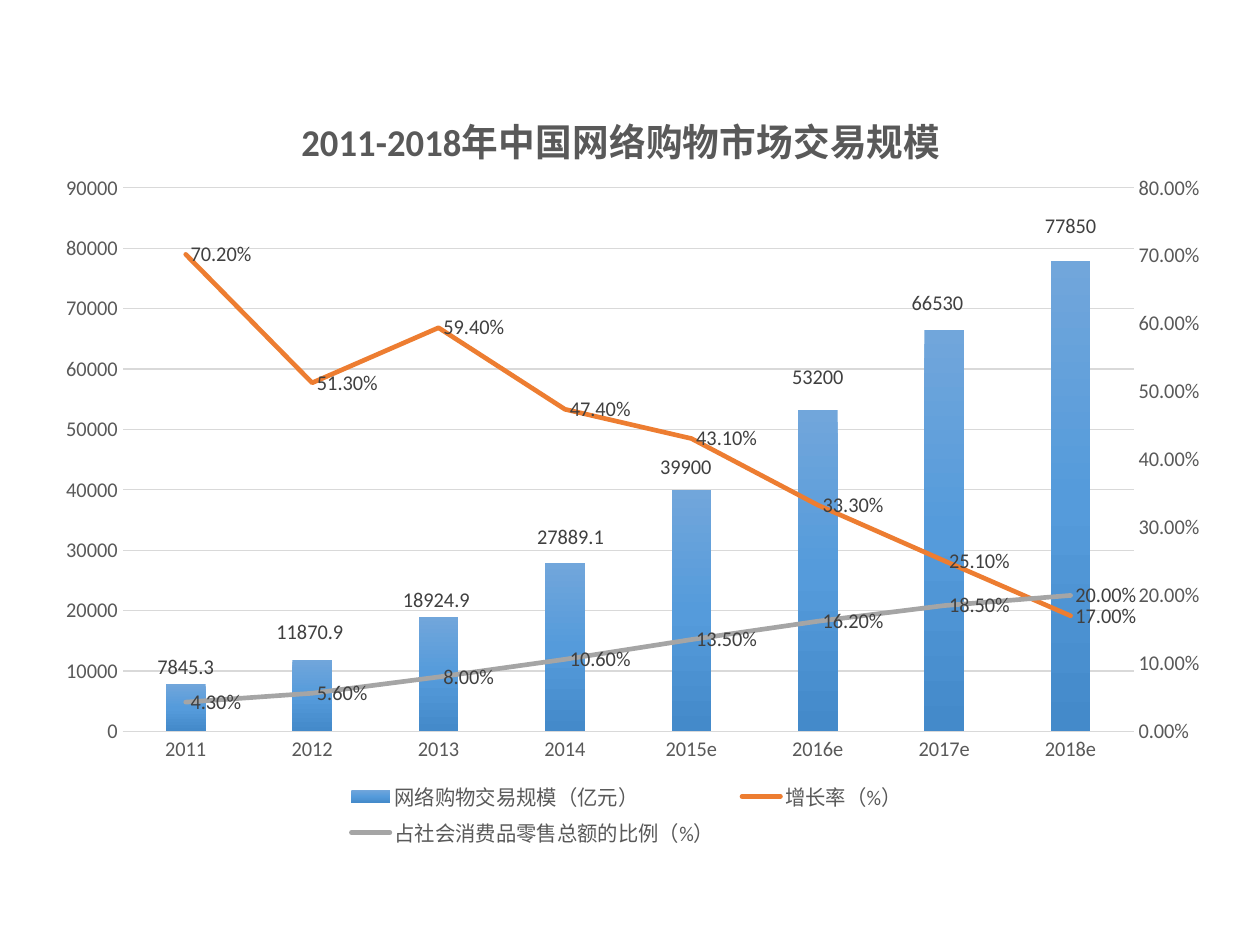
from copy import deepcopy
from dataclasses import dataclass

from pptx import Presentation
from pptx.chart.data import CategoryChartData
from pptx.dml.color import RGBColor
from pptx.enum.chart import XL_CHART_TYPE as ChartType
from pptx.enum.chart import XL_LABEL_POSITION as LabelPos
from pptx.enum.chart import XL_LEGEND_POSITION as LegendPos
from pptx.enum.chart import XL_MARKER_STYLE as Marker
from pptx.enum.chart import XL_TICK_MARK as Tick
from pptx.oxml import parse_xml
from pptx.oxml.ns import nsdecls
from pptx.util import Pt

FONT = "Calibri"
COLORS = {
    "text": "595959", "label": "404040", "grid": "D9D9D9",
    "growth": "ED7D31", "share": "A5A5A5",
    "bar_top": "71A6DB", "bar_mid": "559BDB", "bar_bottom": "448ACA",
}
TITLE = "2011-2018年中国网络购物市场交易规模"
YEARS = ["2011", "2012", "2013", "2014", "2015e", "2016e", "2017e", "2018e"]
SCALE_NAME = "网络购物交易规模（亿元）"
SCALE = [7845.3, 11870.9, 18924.9, 27889.1, 39900, 53200, 66530, 77850]
SCALE_MAX = 90000
PLOT_HEIGHT = 0.706
# Gap from bar top to label centre, and sideways shift, in thousandths of the chart
LABEL_LIFTS = [22, 35, 22, 34, 30, 43, 34, 45]
LABEL_SHIFTS = [0, -2, -2, 5, -5, 0, -6, 0]
NO_LEADER_LINES = (
    f'<c:extLst {nsdecls("c")}><c:ext uri="{{CE6537A1-D6FC-4f65-9D91-7224C49458BB}}" '
    'xmlns:c15="http://schemas.microsoft.com/office/drawing/2012/chart">'
    '<c15:showLeaderLines val="0"/></c:ext></c:extLst>')


@dataclass
class RateLine:
    name: str
    values: list[float]
    color: str


RATES = [
    RateLine("增长率（%）", [0.702, 0.513, 0.594, 0.474, 0.431, 0.333, 0.251, 0.17], "growth"),
    RateLine("占社会消费品零售总额的比例（%）",
             [0.043, 0.056, 0.08, 0.106, 0.135, 0.162, 0.185, 0.2], "share"),
]


def rgb(name: str) -> RGBColor:
    return RGBColor.from_string(COLORS[name])


def style_font(font, size: float = 12, color: str = "text", bold: bool = False) -> None:
    font.name, font.size, font.bold = FONT, Pt(size), bold
    font.color.rgb = rgb(color)


def write_title(tf, text: str, **fmt) -> None:
    r = tf.paragraphs[0].add_run()
    r.text = text
    style_font(r.font, **fmt)


def set_layout(parent, index: int, x: float, y: float, w: float = 0, h: float = 0,
               edge: bool = True, inner: bool = False) -> None:
    """Place a chart part by fractions of the chart; edge=False means an offset."""
    for old in parent.xpath("./c:layout"):
        parent.remove(old)
    parts = ['<c:layoutTarget val="inner"/>'] if inner else []
    if edge:
        parts += ['<c:xMode val="edge"/>', '<c:yMode val="edge"/>']
    sizes = {"x": x, "y": y} | ({"w": w, "h": h} if w else {})
    parts += [f'<c:{key} val="{value:.4f}"/>' for key, value in sizes.items()]
    parent.insert(index, parse_xml(
        f'<c:layout {nsdecls("c")}><c:manualLayout>{"".join(parts)}</c:manualLayout></c:layout>'))


def move_to_right_axis(chart) -> None:
    """Turn every series after the first into a line on a second value axis."""
    plot_area = chart.plots[0]._element.getparent()
    bars = chart.plots[0]._element
    lines = parse_xml(
        f'<c:lineChart {nsdecls("c")}><c:grouping val="standard"/><c:varyColors val="0"/>'
        '<c:marker val="1"/><c:axId val="5001"/><c:axId val="5002"/></c:lineChart>')
    for ser in bars.xpath("./c:ser")[1:]:
        for flag in ser.xpath("./c:invertIfNegative"):
            ser.remove(flag)
        lines.xpath("./c:marker")[0].addprevious(ser)
    bars.addnext(lines)
    axis = ('<c:{tag} {ns}><c:axId val="{own}"/><c:scaling><c:orientation val="minMax"/>{limits}'
            '</c:scaling><c:delete val="{hidden}"/><c:axPos val="{side}"/>'
            '<c:numFmt formatCode="{fmt}" sourceLinked="0"/>'
            '<c:majorTickMark val="none"/><c:minorTickMark val="none"/>'
            '<c:tickLblPos val="nextTo"/><c:crossAx val="{other}"/>'
            '<c:crosses val="{crosses}"/>{extra}</c:{tag}>')
    value_axis = axis.format(
        tag="valAx", ns=nsdecls("c"), own=5002, other=5001, hidden=0, side="r",
        limits='<c:max val="0.8"/><c:min val="0"/>', fmt="0.00%", crosses="max",
        extra='<c:crossBetween val="between"/><c:majorUnit val="0.1"/>')
    category_axis = axis.format(
        tag="catAx", ns=nsdecls("c"), own=5001, other=5002, hidden=1, side="b",
        limits="", fmt="General", crosses="autoZero", extra="")
    last = plot_area.xpath("./c:valAx")[-1]
    for xml in (category_axis, value_axis):
        last.addnext(parse_xml(xml))


def style_axis(axis) -> None:
    axis.major_tick_mark = axis.minor_tick_mark = Tick.NONE
    style_font(axis.tick_labels.font)
    axis.format.line.fill.background()


def style_bars(ser) -> None:
    fill = ser.format.fill
    fill.gradient()
    fill.gradient_angle = 270
    stops = ser._element.xpath(".//a:gsLst")[0]
    stops.insert(1, deepcopy(stops[0]))
    for i, (stop, name) in enumerate(zip(fill.gradient_stops, ("bar_top", "bar_mid", "bar_bottom"))):
        stop.position = i / 2
        stop.color.rgb = rgb(name)
    style_font(ser.data_labels.font, color="label")
    ser.data_labels.show_value = True
    for i, (value, lift, shift) in enumerate(zip(SCALE, LABEL_LIFTS, LABEL_SHIFTS)):
        label = ser.points[i].data_label
        style_font(label.font, color="label")
        label.position = LabelPos.CENTER
        element = ser._element.xpath(f"./c:dLbls/c:dLbl[c:idx/@val={i}]")[0]
        half_bar = value / SCALE_MAX * PLOT_HEIGHT / 2
        set_layout(element, 1, shift / 1000, -half_bar - lift / 1000, edge=False)
    labels = ser._element.xpath("./c:dLbls")[0]
    for flag in labels.xpath("./c:showLeaderLines"):
        flag.set("val", "0")
    labels.append(parse_xml(NO_LEADER_LINES))


def style_rate(ser, rate: RateLine) -> None:
    ser.smooth = False
    ser.marker.style = Marker.NONE
    ser.format.line.width = Pt(2.75)
    ser.format.line.color.rgb = rgb(rate.color)
    ser._element.xpath("./c:spPr/a:ln")[0].set("cap", "rnd")
    labels = ser.data_labels
    style_font(labels.font, color="label")
    labels.number_format, labels.number_format_is_linked = "0.00%", False
    labels.show_value = True
    labels.position = LabelPos.RIGHT


def add_market_chart(s) -> None:
    data = CategoryChartData()
    data.categories = YEARS
    data.add_series(SCALE_NAME, SCALE)
    for rate in RATES:
        data.add_series(rate.name, rate.values, number_format="0.00%")
    chart = s.shapes.add_chart(ChartType.COLUMN_STACKED, Pt(26), Pt(47.5),
                               Pt(659.5), Pt(440), data).chart
    chart.font.name, chart.font.size = FONT, Pt(10)

    chart.has_title = True
    write_title(chart.chart_title.text_frame, TITLE, size=21.6, bold=True)
    set_layout(chart.chart_title._element, 1, 0.223, 0.023)

    chart.has_legend = True
    chart.legend.position = LegendPos.BOTTOM
    chart.legend.include_in_layout = False
    style_font(chart.legend.font)
    set_layout(chart.legend._element, 1, 0.255, 0.9, 0.53, 0.1)

    left = chart.value_axis  # taken while it is the only value axis
    move_to_right_axis(chart)
    bars, lines = chart.plots
    plot_area = bars._element.getparent()
    set_layout(plot_area, 0, 0.069, 0.136, 0.905, PLOT_HEIGHT, inner=True)
    bars.gap_width, bars.overlap, bars.vary_by_categories = 219, 100, False
    style_bars(bars.series[0])
    for ser, rate in zip(lines.series, RATES):
        style_rate(ser, rate)

    left.minimum_scale, left.maximum_scale, left.major_unit = 0, SCALE_MAX, 10000
    grid = left.major_gridlines.format.line
    grid.color.rgb, grid.width = rgb("grid"), Pt(0.75)
    right = type(left)(plot_area.xpath("./c:valAx")[-1])
    for axis in (chart.category_axis, left, right):
        style_axis(axis)
    base = chart.category_axis.format.line
    base.color.rgb, base.width = rgb("grid"), Pt(1)


def main() -> None:
    prs = Presentation()
    prs.slide_width, prs.slide_height = Pt(720), Pt(540)
    add_market_chart(prs.slides.add_slide(prs.slide_layouts[6]))
    prs.save("out.pptx")


if __name__ == "__main__":
    main()
